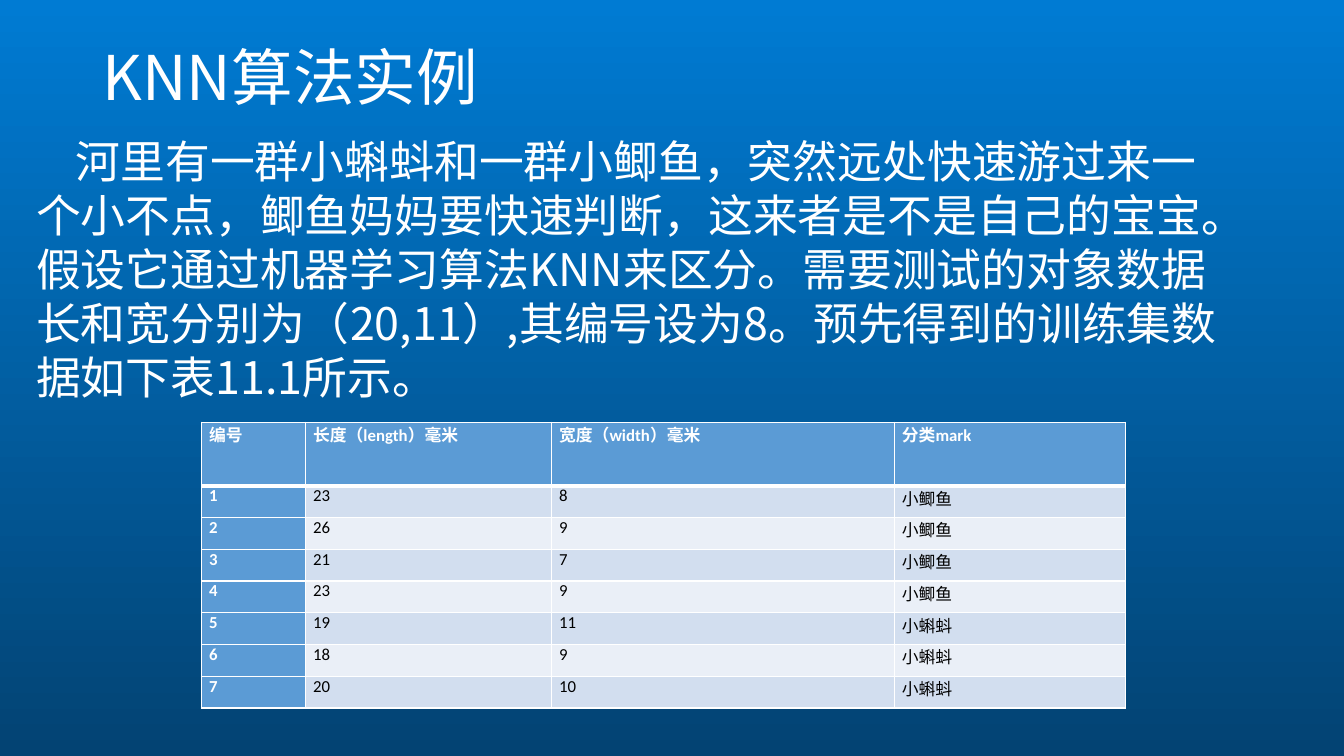
from pptx import Presentation
from pptx.dml.color import RGBColor
from pptx.enum.text import MSO_ANCHOR, MSO_AUTO_SIZE, PP_ALIGN
from pptx.oxml.ns import qn
from pptx.util import Cm, Pt
from lxml import etree

WHITE = RGBColor(0xFF, 0xFF, 0xFF)
BLACK = RGBColor(0x00, 0x00, 0x00)
SKY = RGBColor(0x00, 0x7B, 0xD3)
DEEP = RGBColor(0x03, 0x43, 0x73)
HEAD_BLUE = RGBColor(0x5B, 0x9B, 0xD5)
BAND_DARK = RGBColor(0xD2, 0xDE, 0xEF)
BAND_LIGHT = RGBColor(0xEA, 0xEF, 0xF7)

LEFT, JUSTIFY = PP_ALIGN.LEFT, PP_ALIGN.JUSTIFY
MIDDLE, NO_FIT = MSO_ANCHOR.MIDDLE, MSO_AUTO_SIZE.NONE
TITLE_ONLY = 5

TITLE = "KNN算法实例"
STORY = (
    "河里有一群小蝌蚪和一群小鲫鱼，突然远处快速游过来一个小不点，"
    "鲫鱼妈妈要快速判断，这来者是不是自己的宝宝。"
    "假设它通过机器学习算法KNN来区分。"
    "需要测试的对象数据长和宽分别为（20,11）,其编号设为8。"
    "预先得到的训练集数据如下表11.1所示。"
)
HEADINGS = ["编号", "长度（length）毫米", "宽度（width）毫米", "分类mark"]
SAMPLES = [
    (23, 8, "小鲫鱼"),
    (26, 9, "小鲫鱼"),
    (21, 7, "小鲫鱼"),
    (23, 9, "小鲫鱼"),
    (19, 11, "小蝌蚪"),
    (18, 9, "小蝌蚪"),
    (20, 10, "小蝌蚪"),
]


class SlideWriter:
    cjk_font = "Noto Sans CJK SC"
    table_font = "Calibri"

    def __init__(self, slide):
        self.slide = slide

    def background(self, top, bottom):
        fill = self.slide.background.fill
        fill.gradient()
        fill.gradient_angle = 270
        for stop, color in zip(fill.gradient_stops, (top, bottom)):
            stop.color.rgb = color

    def style(self, paragraph, size, color, font, align, bold=False):
        paragraph.alignment = align
        for run in paragraph.runs:
            run.font.size = Pt(size)
            run.font.name = font
            run.font.bold = bold
            run.font.color.rgb = color
            east_asian = etree.SubElement(run.font._element, qn("a:ea"))
            east_asian.set("typeface", self.cjk_font)

    def title(self, text, left, top, width, height):
        heading = self.slide.shapes.title
        heading.left, heading.top = Cm(left), Cm(top)
        heading.width, heading.height = Cm(width), Cm(height)
        frame = heading.text_frame
        frame.text = text
        frame.auto_size = NO_FIT
        frame.vertical_anchor = MIDDLE
        frame.paragraphs[0].line_spacing = 0.9
        self.style(frame.paragraphs[0], 44, WHITE, self.cjk_font, LEFT)

    def story(self, text, left, top, width, height):
        box = self.slide.shapes.add_textbox(Cm(left), Cm(top), Cm(width), Cm(height))
        frame = box.text_frame
        frame.word_wrap = True
        frame.text = text
        paragraph = frame.paragraphs[0]
        paragraph.line_spacing = Pt(38.7)
        paragraph._p.get_or_add_pPr().set("indent", str(Cm(1)))
        self.style(paragraph, 32, WHITE, self.cjk_font, LEFT)

    def borders(self, cell, **widths):
        properties = cell._tc.get_or_add_tcPr()
        # Borders come before the fill in a cell's properties
        for place, (side, width) in enumerate(widths.items()):
            line = etree.Element(qn(f"a:{side}"), w=str(Pt(width)))
            fill = etree.SubElement(line, qn("a:solidFill"))
            etree.SubElement(fill, qn("a:srgbClr"), val=str(WHITE))
            properties.insert(place, line)

    def cell(self, cell, text, fill, color, bold):
        cell.margin_left = cell.margin_right = Cm(0.19)
        cell.margin_top = cell.margin_bottom = 0
        cell.fill.solid()
        cell.fill.fore_color.rgb = fill
        cell.text_frame.text = str(text)
        self.style(cell.text_frame.paragraphs[0], 12, color, self.table_font, JUSTIFY, bold)

    def table(self, rows, left, top, widths, head_height, row_height):
        height = head_height + row_height * (len(rows) - 1)
        grid = self.slide.shapes.add_table(
            len(rows), len(widths), Cm(left), Cm(top), Cm(sum(widths)), Cm(height)
        ).table
        for column, width in zip(grid.columns, widths):
            column.width = Cm(width)
        for r, values in enumerate(rows):
            grid.rows[r].height = Cm(row_height if r else head_height)
            band = BAND_DARK if r % 2 else BAND_LIGHT
            for c, value in enumerate(values):
                heading = r == 0 or c == 0
                cell = grid.cell(r, c)
                self.cell(cell, value, HEAD_BLUE if heading else band,
                          WHITE if heading else BLACK, heading)
                self.borders(cell, lnL=1, lnR=1, lnT=3 if r == 1 else 1,
                             lnB=3 if r == 0 else 1)


def main():
    deck = Presentation()
    deck.slide_width, deck.slide_height = Cm(33.87), Cm(19.05)
    writer = SlideWriter(deck.slides.add_slide(deck.slide_layouts[TITLE_ONLY]))

    # Background and text
    writer.background(SKY, DEEP)
    writer.title(TITLE, 2.33, 0.2, 29.21, 3.68)
    writer.story(STORY, 0.66, 3.23, 30.28, 7.09)

    # Training set, numbered from 1
    rows = [HEADINGS] + [(number, *sample) for number, sample in enumerate(SAMPLES, 1)]
    writer.table(rows, 5.08, 10.64, [2.62, 6.2, 8.64, 5.82], 1.6, 0.8)

    deck.save("out.pptx")


if __name__ == "__main__":
    main()
